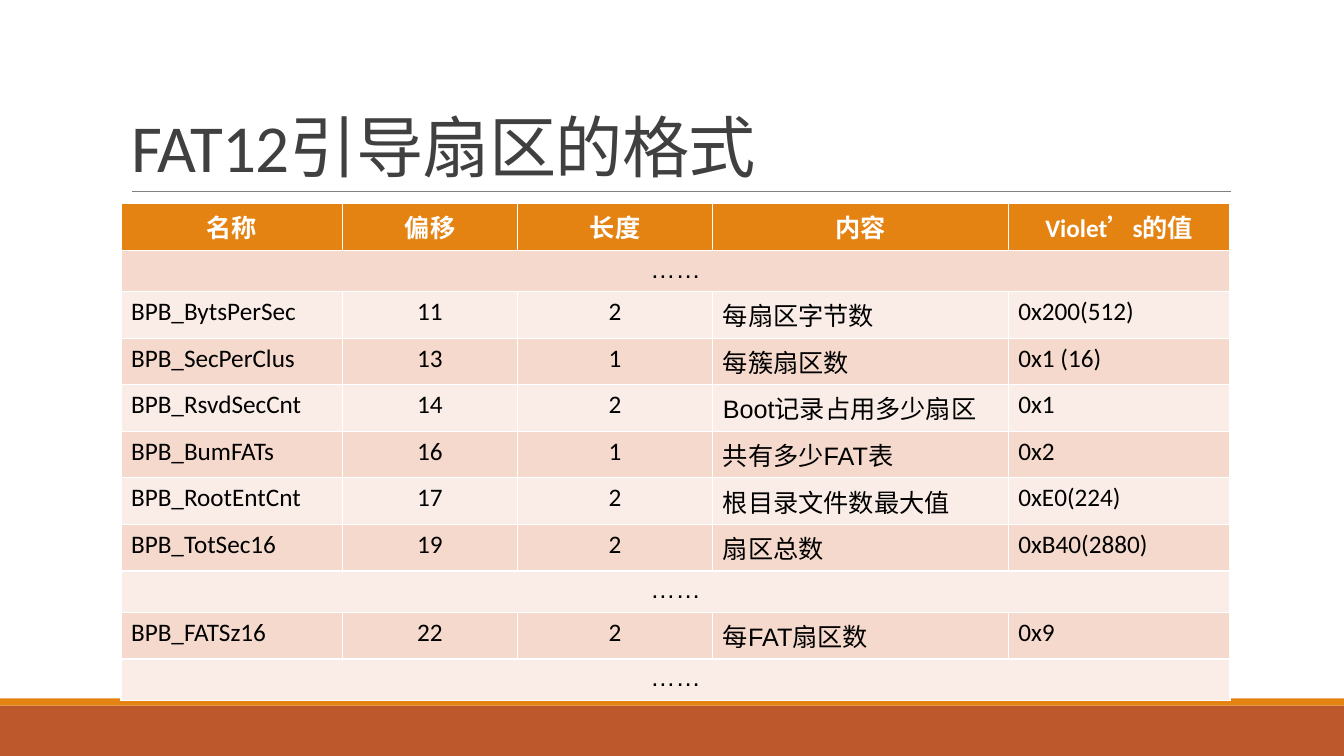
from pptx import Presentation
from pptx.enum import shapes, text
from pptx.dml.color import RGBColor
from pptx.oxml import parse_xml
from pptx.oxml.ns import nsdecls
from pptx.util import Inches, Pt

COLOURS = {
    "rust": "BD582C", "orange": "E48312", "rule": "808080", "title": "404040",
    "white": "FFFFFF", "black": "000000", "dark band": "F5D9CC", "light band": "FAEDE7",
}
HEADINGS = ["名称", "偏移", "长度", "内容", "Violet’s的值"]
GAP = ["……"]
FIELDS = [
    GAP,
    ["BPB_BytsPerSec", "11", "2", "每扇区字节数", "0x200(512)"],
    ["BPB_SecPerClus", "13", "1", "每簇扇区数", "0x1 (16)"],
    ["BPB_RsvdSecCnt", "14", "2", "Boot记录占用多少扇区", "0x1"],
    ["BPB_BumFATs", "16", "1", "共有多少FAT表", "0x2"],
    ["BPB_RootEntCnt", "17", "2", "根目录文件数最大值", "0xE0(224)"],
    ["BPB_TotSec16", "19", "2", "扇区总数", "0xB40(2880)"],
    GAP,
    ["BPB_FATSz16", "22", "2", "每FAT扇区数", "0x9"],
    GAP,
]
WIDTHS = [2.2, 1.73, 1.94, 2.93, 2.2]
CENTRED = (1, 2)
DESCRIPTION = 3


class SlideBuilder:
    """Holds the colours and the current page, and draws each kind of element."""

    def __init__(self, page, colours):
        self.page = page
        self.colours = colours

    def colour(self, name):
        return RGBColor.from_string(self.colours[name])

    def add_span(self, para, wording, size, font, colour, bold=False):
        span = para.add_run()
        span.text = wording
        span.font.size = Pt(size)
        span.font.name = font
        span.font.bold = bold
        span.font.color.rgb = self.colour(colour)
        return span

    def band(self, top, height, colour):
        box = self.page.shapes.add_shape(
            shapes.MSO_SHAPE.RECTANGLE, 0, Inches(top), Inches(13.33), Inches(height))
        box.shadow.inherit = False
        box.fill.solid()
        box.fill.fore_color.rgb = self.colour(colour)
        box.line.fill.background()

    def rule(self, left, right, top):
        line = self.page.shapes.add_connector(
            shapes.MSO_CONNECTOR.STRAIGHT, Inches(left), Inches(top), Inches(right), Inches(top))
        line.line.color.rgb = self.colour("rule")
        line.line.width = Pt(0.5)
        line._element.spPr.append(parse_xml(f"<a:effectLst {nsdecls('a')}/>"))

    def title(self, wording):
        box = self.page.shapes.title
        box.left, box.top = Inches(1.2), Inches(0.31)
        box.width, box.height = Inches(11), Inches(1.59)
        frame = box.text_frame
        frame.word_wrap = True
        frame.auto_size = text.MSO_AUTO_SIZE.NONE
        frame.vertical_anchor = text.MSO_ANCHOR.BOTTOM
        para = frame.paragraphs[0]
        para.alignment = text.PP_ALIGN.LEFT
        para.line_spacing = 0.85
        span = self.add_span(para, wording, 48, "Calibri", "title")
        span.font._element.set("spc", "-50")

    def cell(self, cell, wording, fill, font="Calibri", colour="black", bold=False, centred=True):
        cell.fill.solid()
        cell.fill.fore_color.rgb = self.colour(fill)
        para = cell.text_frame.paragraphs[0]
        para.alignment = text.PP_ALIGN.CENTER if centred else text.PP_ALIGN.LEFT
        self.add_span(para, wording, 18, font, colour, bold)

    def table(self, headings, fields, widths):
        row_height = 0.41
        count = len(fields) + 1
        table = self.page.shapes.add_table(
            count, len(widths), Inches(1.2), Inches(2.02),
            Inches(sum(widths)), Inches(row_height * count)).table
        for column, width in zip(table.columns, widths):
            column.width = Inches(width)
        for row in table.rows:
            row.height = Inches(row_height)
        for column, heading in enumerate(headings):
            self.cell(table.cell(0, column), heading, "orange", colour="white", bold=True)
        for row, values in enumerate(fields, 1):
            fill = "dark band" if row % 2 else "light band"
            if values is GAP:
                table.cell(row, 0).merge(table.cell(row, len(widths) - 1))
                self.cell(table.cell(row, 0), values[0], fill, "Arial")
                continue
            for column, value in enumerate(values):
                font = "Arial" if column == DESCRIPTION else "Calibri"
                self.cell(table.cell(row, column), value, fill, font, centred=column in CENTRED)


def main():
    deck = Presentation()
    deck.slide_width, deck.slide_height = Inches(13.33), Inches(7.5)
    builder = SlideBuilder(deck.slides.add_slide(deck.slide_layouts[5]), COLOURS)
    builder.band(7, 0.5, "rust")
    builder.band(6.93, 0.07, "orange")
    builder.rule(1.31, 12.21, 1.9)
    builder.title("FAT12引导扇区的格式")
    builder.table(HEADINGS, FIELDS, WIDTHS)
    deck.save("out.pptx")


if __name__ == "__main__":
    main()
